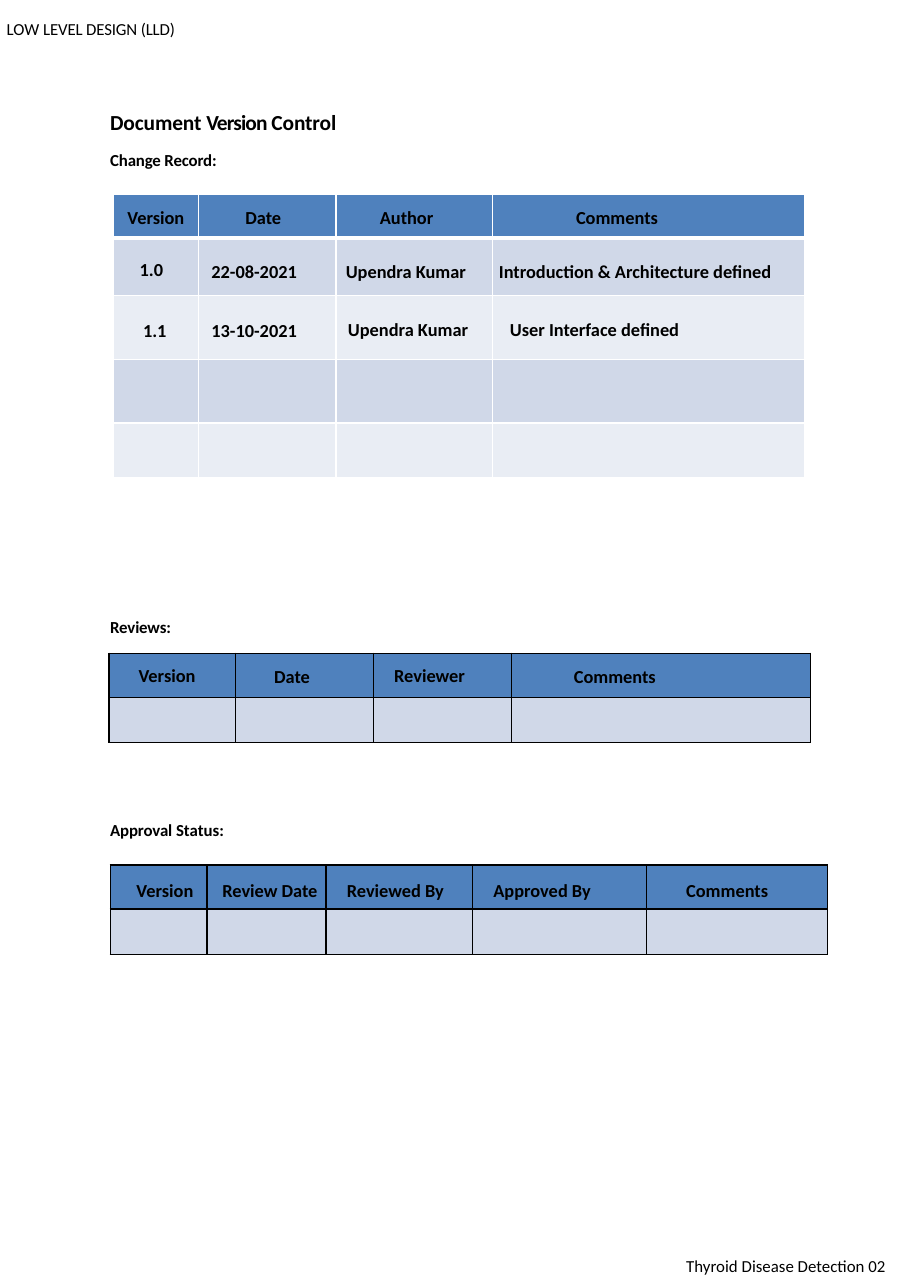
"""Build the document version control page with its three record tables."""
import pptx
import pptx.util
import pptx.dml.color
import pptx.enum.text
import pptx.oxml.ns
import lxml.etree
from dataclasses import dataclass

Inches = pptx.util.Inches
Align = pptx.enum.text.PP_ALIGN


@dataclass(frozen=True)
class Theme:
    font: str = "Calibri"
    ink: str = "000000"
    header: str = "4F81BD"
    bands: tuple = ("D0D8E8", "E9EDF4")
    white: str = "FFFFFF"
    title: int = 14
    label: int = 12
    caption: int = 11


THEME = Theme()
PAGE = (8.26, 11.69)
LABEL_HEIGHT = 0.3

RECORDS = [
    {
        "at": (1.03, 1.76),
        "columns": (0.77, 1.25, 1.42, 2.83),
        "rows": (0.4, 0.52, 0.58, 0.58, 0.5),
        "border": THEME.white,
        "header_rule": 3,
        "labels": [
            ("Version", 1.02, 1.82, 0.79, Align.CENTER),
            ("Date", 2.07, 1.82, 0.64, Align.CENTER),
            ("Author", 3.35, 1.82, 1),
            ("Comments", 5.13, 1.82, 1.25),
            ("1.0", 1.17, 2.29, 0.44),
            ("22-08-2021", 1.82, 2.31, 1.62),
            ("Upendra Kumar", 3.04, 2.31, 1.62),
            ("Introduction & Architecture defined", 4.43, 2.31, 2.92),
            ("1.1", 1.2, 2.85, 0.44),
            ("13-10-2021", 1.82, 2.85, 1.62),
            ("Upendra Kumar", 3.06, 2.84, 1.62),
            ("User Interface defined", 4.53, 2.84, 2.92),
        ],
    },
    {
        "at": (0.99, 5.93),
        "columns": (1.15, 1.25, 1.25, 2.72),
        "rows": (0.4, 0.41),
        "border": THEME.ink,
        "header_rule": 1,
        "labels": [
            ("Version", 1.16, 5.98, 0.76),
            ("Date", 2.39, 5.99, 0.83),
            ("Reviewer", 3.48, 5.98, 1),
            ("Comments", 5.11, 5.99, 1.75),
        ],
    },
    {
        "at": (1, 7.85),
        "columns": (0.88, 1.08, 1.33, 1.58, 1.64),
        "rows": (0.4, 0.41),
        "border": THEME.ink,
        "header_rule": 1,
        "labels": [
            ("Version", 1.14, 7.93, 1.15),
            ("Review Date", 1.92, 7.93, 1.1),
            ("Reviewed By", 3.05, 7.93, 1.18),
            ("Approved By", 4.38, 7.93, 1.46),
            ("Comments", 6.13, 7.93, 0.97),
        ],
    },
]

HEADINGS = [
    ((0.99, 0.98, 2.36, 0.58), True, [
        (1, THEME.title, [("Document ", -0.1), ("Version ", -0.6), ("Control", -0.1)]),
        (9.8, THEME.caption, [("Change Record:", -0.1)]),
    ]),
    ((0.99, 5.59, 0.6, 0.21), True, [(1.1, THEME.caption, [("Reviews:", -0.1)])]),
    ((0.99, 7.43, 1.08, 0.21), True, [
        (1.1, THEME.caption, [("Approval ", -0.1), ("Status:", 0)]),
    ]),
    ((0.05, 0.16, 1.59, 0.21), False, [
        (1, THEME.caption, [("LOW ", 0), ("LEVEL DESIGN (LLD)", -0.1)]),
    ]),
]
FOOTER = ("Thyroid Disease Detection 02", 6.13, 11.35, 2.08)


def rgb(colour):
    return pptx.dml.color.RGBColor.from_string(colour)


def add_frame(slide, box):
    frame = slide.shapes.add_textbox(*map(Inches, box)).text_frame
    frame.word_wrap = True
    frame.auto_size = pptx.enum.text.MSO_AUTO_SIZE.SHAPE_TO_FIT_TEXT
    return frame


def add_run(paragraph, words, size, bold, spacing=0):
    run = paragraph.add_run()
    run.text = words
    run.font.name = THEME.font
    run.font.size = pptx.util.Pt(size)
    run.font.bold = bold
    run.font.color.rgb = rgb(THEME.ink)
    if spacing:
        run._r.get_or_add_rPr().set("spc", str(round(spacing * 100)))


def add_heading(slide, box, bold, lines):
    frame = add_frame(slide, box)
    frame.margin_left = frame.margin_top = Inches(0.01)
    frame.margin_right = frame.margin_bottom = 0
    for index, (space, size, pieces) in enumerate(lines):
        paragraph = frame.add_paragraph() if index else frame.paragraphs[0]
        paragraph.space_before = pptx.util.Pt(space)
        for words, spacing in pieces:
            add_run(paragraph, words, size, bold, spacing)


def add_label(slide, words, left, top, width, align=Align.LEFT,
              size=THEME.label, bold=True):
    paragraph = add_frame(slide, (left, top, width, LABEL_HEIGHT)).paragraphs[0]
    paragraph.alignment = align
    add_run(paragraph, words, size, bold)


def set_borders(cell, colour, widths):
    qn = pptx.oxml.ns.qn
    properties = cell._tc.get_or_add_tcPr()
    for side, width in zip("LRTB", widths):
        line = lxml.etree.SubElement(properties, qn(f"a:ln{side}"),
                                     w=str(pptx.util.Pt(width)))
        fill = lxml.etree.SubElement(line, qn("a:solidFill"))
        lxml.etree.SubElement(fill, qn("a:srgbClr"), val=colour)


def add_record(slide, record):
    columns, rows = record["columns"], record["rows"]
    box = (*record["at"], sum(columns), sum(rows))
    table = slide.shapes.add_table(len(rows), len(columns), *map(Inches, box)).table
    table.first_row = table.horz_banding = False
    for column, width in zip(table.columns, columns):
        column.width = Inches(width)
    for index, (row, height) in enumerate(zip(table.rows, rows)):
        row.height = Inches(height)
        top = record["header_rule"] if index == 1 else 1
        bottom = record["header_rule"] if index == 0 else 1
        colour = THEME.bands[(index - 1) % 2] if index else THEME.header
        for cell in row.cells:
            set_borders(cell, record["border"], (1, 1, top, bottom))
            cell.fill.solid()
            cell.fill.fore_color.rgb = rgb(colour)
    for label in record["labels"]:
        add_label(slide, *label)


def main():
    deck = pptx.Presentation()
    deck.slide_width, deck.slide_height = map(Inches, PAGE)
    slide = deck.slides.add_slide(deck.slide_layouts[6])
    for heading in HEADINGS:
        add_heading(slide, *heading)
    for record in RECORDS:
        add_record(slide, record)
    add_label(slide, *FOOTER, size=THEME.caption, bold=False)
    deck.save("out.pptx")


if __name__ == "__main__":
    main()
